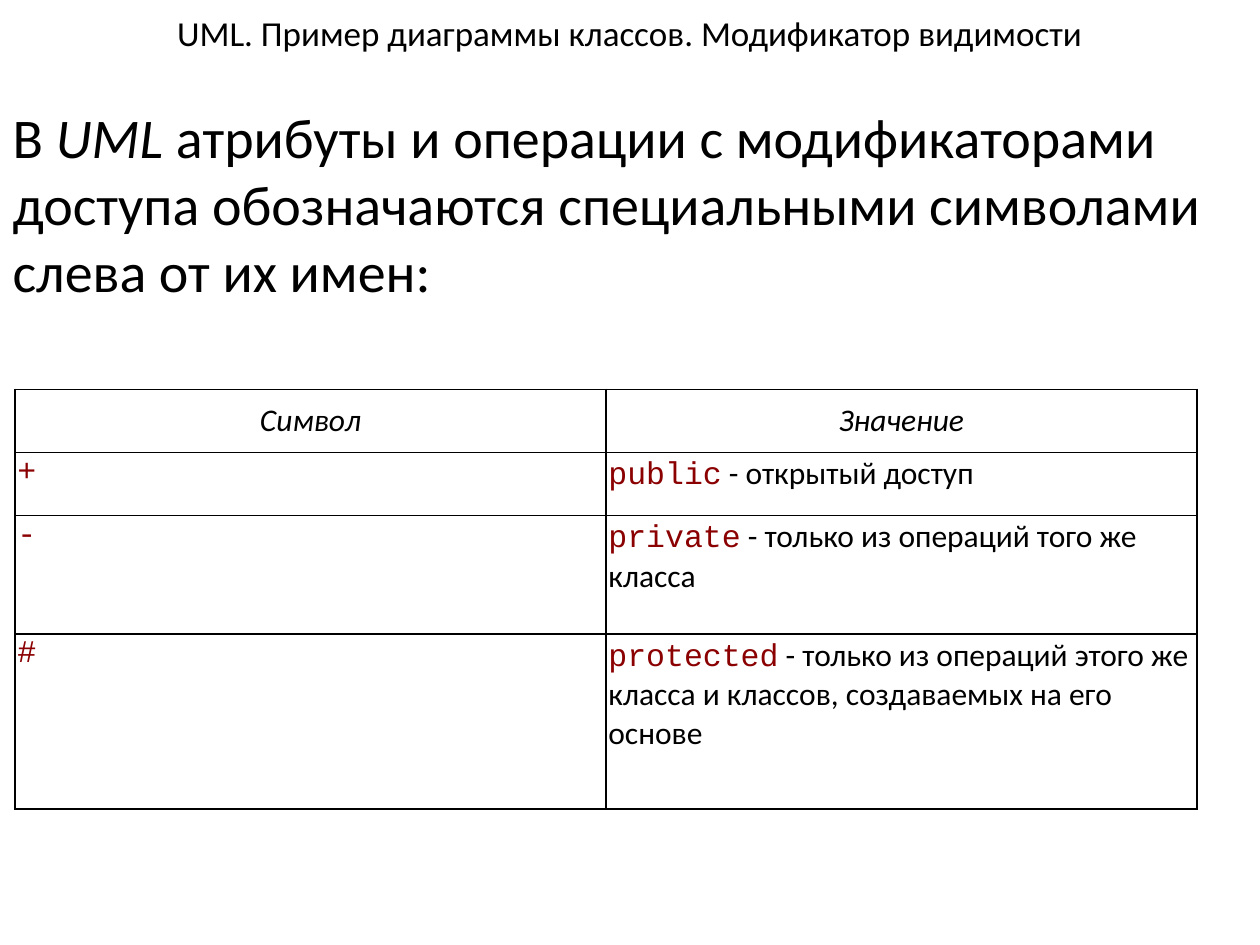
from lxml import etree
from pptx import Presentation
from pptx.dml.color import RGBColor
from pptx.enum.text import MSO_ANCHOR, PP_ALIGN
from pptx.oxml.ns import qn
from pptx.util import Cm, Pt

CENTER, LEFT = PP_ALIGN.CENTER, PP_ALIGN.LEFT
MIDDLE, TOP = MSO_ANCHOR.MIDDLE, MSO_ANCHOR.TOP
BLACK = RGBColor(0x00, 0x00, 0x00)
WHITE = RGBColor(0xFF, 0xFF, 0xFF)
DARK_RED = RGBColor(0x8B, 0x00, 0x00)
TEXT_FONT, CODE_FONT = "Calibri", "Courier New"

HEADINGS = ("Символ", "Значение")
MODIFIERS = (
    ("+", "public", " - открытый доступ"),
    ("-", "private", " - только из операций того же класса"),
    ("#", "protected", " - только из операций этого же класса и классов, создаваемых на его основе"),
)
ROW_HEIGHTS = (1.27, 1.27, 2.39, 3.53)


def add_span(para, text, size, font=TEXT_FONT, color=BLACK, italic=False):
    """Append one formatted run to a paragraph."""
    span = para.add_run()
    span.text = text
    span.font.size = Pt(size)
    span.font.name = font
    span.font.color.rgb = color
    span.font.italic = italic


def place(shape, box):
    """Move a shape to a box of left, top, width and height in centimetres."""
    shape.left, shape.top, shape.width, shape.height = (Cm(value) for value in box)


def fill_title(title, box):
    """Place the title and write its heading."""
    place(title, box)
    title.text_frame.vertical_anchor = MIDDLE
    para = title.text_frame.paragraphs[0]
    para.alignment = CENTER
    add_span(para, "UML. Пример диаграммы классов. Модификатор видимости", 20)


def fill_body(body, box):
    """Place the body and write its paragraph without a bullet."""
    place(body, box)
    para = body.text_frame.paragraphs[0]
    properties = para._p.get_or_add_pPr()
    properties.set("marL", "0")
    properties.set("indent", "0")
    etree.SubElement(properties, qn("a:buNone"))
    add_span(para, "В ", 32)
    add_span(para, "UML", 32, italic=True)
    add_span(para, " атрибуты и операции с модификаторами доступа обозначаются "
                   "специальными символами слева от их имен:", 32)


def add_borders(cell):
    """Draw a thin black line on all sides of a cell."""
    properties = cell._tc.get_or_add_tcPr()
    for index, side in enumerate(("a:lnL", "a:lnR", "a:lnT", "a:lnB")):
        line = etree.Element(qn(side), w=str(Pt(1)))
        solid = etree.SubElement(line, qn("a:solidFill"))
        etree.SubElement(solid, qn("a:srgbClr"), val=str(BLACK))
        properties.insert(index, line)


def format_cell(cell, anchor, alignment):
    """Set the look of a cell and return its paragraph."""
    cell.fill.solid()
    cell.fill.fore_color.rgb = WHITE
    cell.margin_left = cell.margin_right = Cm(0.05)
    cell.margin_top = cell.margin_bottom = Cm(0.05)
    cell.vertical_anchor = anchor
    add_borders(cell)
    para = cell.text_frame.paragraphs[0]
    para.alignment = alignment
    return para


def add_modifier_table(page, box):
    """Add the table of access symbols and their meanings."""
    left, top, width, height = (Cm(value) for value in box)
    table = page.shapes.add_table(len(ROW_HEIGHTS), len(HEADINGS), left, top, width, height).table
    for row, row_height in zip(table.rows, ROW_HEIGHTS):
        row.height = Cm(row_height)
    for column, heading in enumerate(HEADINGS):
        add_span(format_cell(table.cell(0, column), MIDDLE, CENTER), heading, 18, italic=True)
    for row, (symbol, keyword, meaning) in enumerate(MODIFIERS, start=1):
        symbol_para, meaning_para = (format_cell(table.cell(row, column), TOP, LEFT) for column in (0, 1))
        add_span(symbol_para, symbol, 18, CODE_FONT, DARK_RED)
        add_span(meaning_para, keyword, 18, CODE_FONT, DARK_RED)
        add_span(meaning_para, meaning, 18)


def main():
    """Build the deck and save it."""
    deck = Presentation()
    deck.slide_width, deck.slide_height = Cm(25.4), Cm(19.05)
    page = deck.slides.add_slide(deck.slide_layouts[1])
    fill_title(page.shapes.title, (1.27, 0, 22.86, 1.32))
    fill_body(page.placeholders[1], (0, 1.93, 25.4, 16.41))
    add_modifier_table(page, (0.3, 7.85, 23.83, sum(ROW_HEIGHTS)))
    deck.save("out.pptx")


if __name__ == "__main__":
    main()
